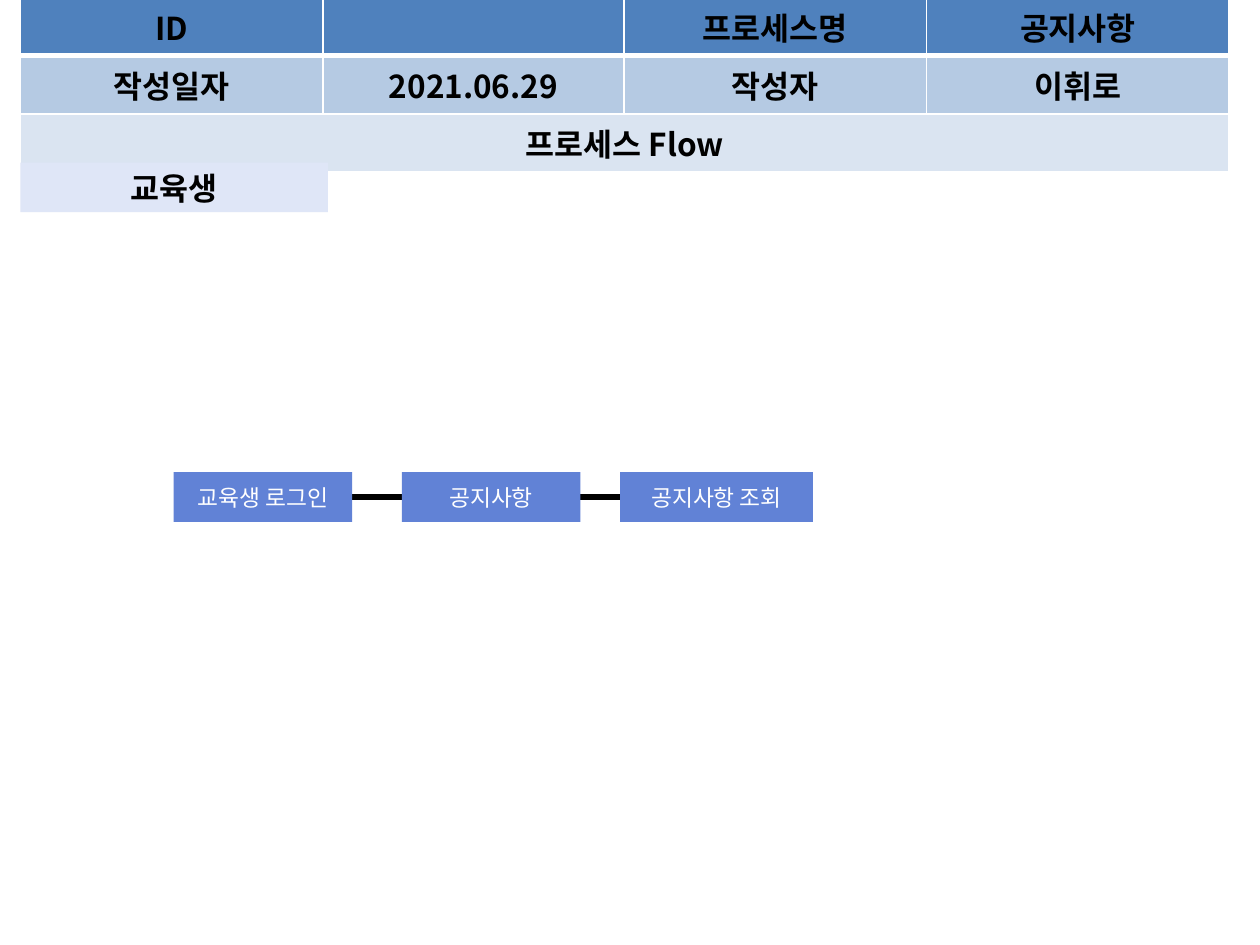
from lxml.etree import SubElement
from pptx import Presentation
from pptx.dml.color import RGBColor
from pptx.enum.shapes import MSO_CONNECTOR as Connector, MSO_SHAPE as Shape
from pptx.enum.text import MSO_ANCHOR as Anchor, PP_ALIGN as Align
from pptx.oxml import parse_xml
from pptx.oxml.ns import nsdecls, qn
from pptx.util import Cm, Pt

FONT = "Noto Sans CJK KR"
COLORS = {
    "header": "4F81BD",
    "info": "B5CAE3",
    "title": "DAE4F1",
    "lane": "DFE6F7",
    "step": "6182D6",
    "dark": "000000",
    "light": "FFFFFF",
}
HEADING = {"size": Pt(18), "bold": True, "name": FONT}
STEP = {"size": Pt(13), "bold": False, "name": FONT}

COLUMN_WIDTHS = [2.59, 3.51, 6.07, 6.1, 6.1]
ROW_HEIGHT = 1.04
# Fill, then the text of each cell with the number of columns it spans
ROWS = [
    ("header", [("ID", 2), ("", 1), ("프로세스명", 1), ("공지사항", 1)]),
    ("info", [("작성일자", 2), ("2021.06.29", 1), ("작성자", 1), ("이휘로", 1)]),
    ("title", [("프로세스 Flow", 5)]),
]
STEP_TOP, BOX_HEIGHT = 9.52, 1
STEPS = [("교육생 로그인", 3.5, 3.6), ("공지사항", 8.1, 3.6), ("공지사항 조회", 12.5, 3.89)]


def color(name):
    return RGBColor.from_string(COLORS[name])


def write(frame, text, style, ink):
    para = frame.paragraphs[0]
    para.alignment = Align.CENTER
    span = para.add_run()
    span.text = text
    for key, value in style.items():
        setattr(span.font, key, value)
    span.font.color.rgb = color(ink)
    east_asian = SubElement(span.font._element, qn("a:ea"))
    east_asian.set("typeface", FONT)


def add_borders(cell, bottom):
    """Draw white cell edges; bottom is the width of the lower one in points."""
    widths = {"lnL": 1, "lnR": 1, "lnT": 1, "lnB": bottom}
    properties = cell._tc.get_or_add_tcPr()
    for index, (tag, width) in enumerate(widths.items()):
        properties.insert(index, parse_xml(
            f'<a:{tag} {nsdecls("a")} w="{Pt(width)}"><a:solidFill>'
            f'<a:srgbClr val="{COLORS["light"]}"/></a:solidFill></a:{tag}>'))


def add_header_table(page):
    frame = page.shapes.add_table(
        len(ROWS), len(COLUMN_WIDTHS), Cm(0.41), Cm(-0.05),
        Cm(sum(COLUMN_WIDTHS)), Cm(ROW_HEIGHT * len(ROWS)))
    table = frame.table
    for column, width in zip(table.columns, COLUMN_WIDTHS):
        column.width = Cm(width)
    for row_index, (fill, entries) in enumerate(ROWS):
        table.rows[row_index].height = Cm(ROW_HEIGHT)
        for cell in table.rows[row_index].cells:
            cell.fill.solid()
            cell.fill.fore_color.rgb = color(fill)
            add_borders(cell, 3 if fill == "header" else 1)
        start = 0
        for text, columns in entries:
            cell = table.cell(row_index, start)
            if columns > 1:
                cell.merge(table.cell(row_index, start + columns - 1))
            if text:
                write(cell.text_frame, text, HEADING, "dark")
            start += columns


def add_box(page, text, left, top, width, fill, style, ink):
    box = page.shapes.add_shape(
        Shape.RECTANGLE, Cm(left), Cm(top), Cm(width), Cm(BOX_HEIGHT))
    box.shadow.inherit = False
    box.fill.solid()
    box.fill.fore_color.rgb = color(fill)
    box.line.fill.background()
    box.text_frame.word_wrap = True
    box.text_frame.vertical_anchor = Anchor.MIDDLE
    write(box.text_frame, text, style, ink)


def add_flow_line(page, start, end, height):
    line = page.shapes.add_connector(
        Connector.STRAIGHT, Cm(start), Cm(height), Cm(end), Cm(height))
    line.line.color.rgb = color("dark")
    line.line.width = Pt(3)
    SubElement(line._element.spPr, qn("a:effectLst"))


def main():
    deck = Presentation()
    deck.slide_width, deck.slide_height = Cm(25.4), Cm(19.05)
    page = deck.slides.add_slide(deck.slide_layouts[6])
    add_header_table(page)
    add_box(page, "교육생", 0.41, 3.28, 6.2, "lane", HEADING, "dark")
    _, first_left, first_width = STEPS[0]
    add_flow_line(page, first_left + first_width, STEPS[-1][1],
                  STEP_TOP + BOX_HEIGHT / 2)
    for text, left, width in STEPS:
        add_box(page, text, left, STEP_TOP, width, "step", STEP, "light")
    deck.save("out.pptx")


if __name__ == "__main__":
    main()
